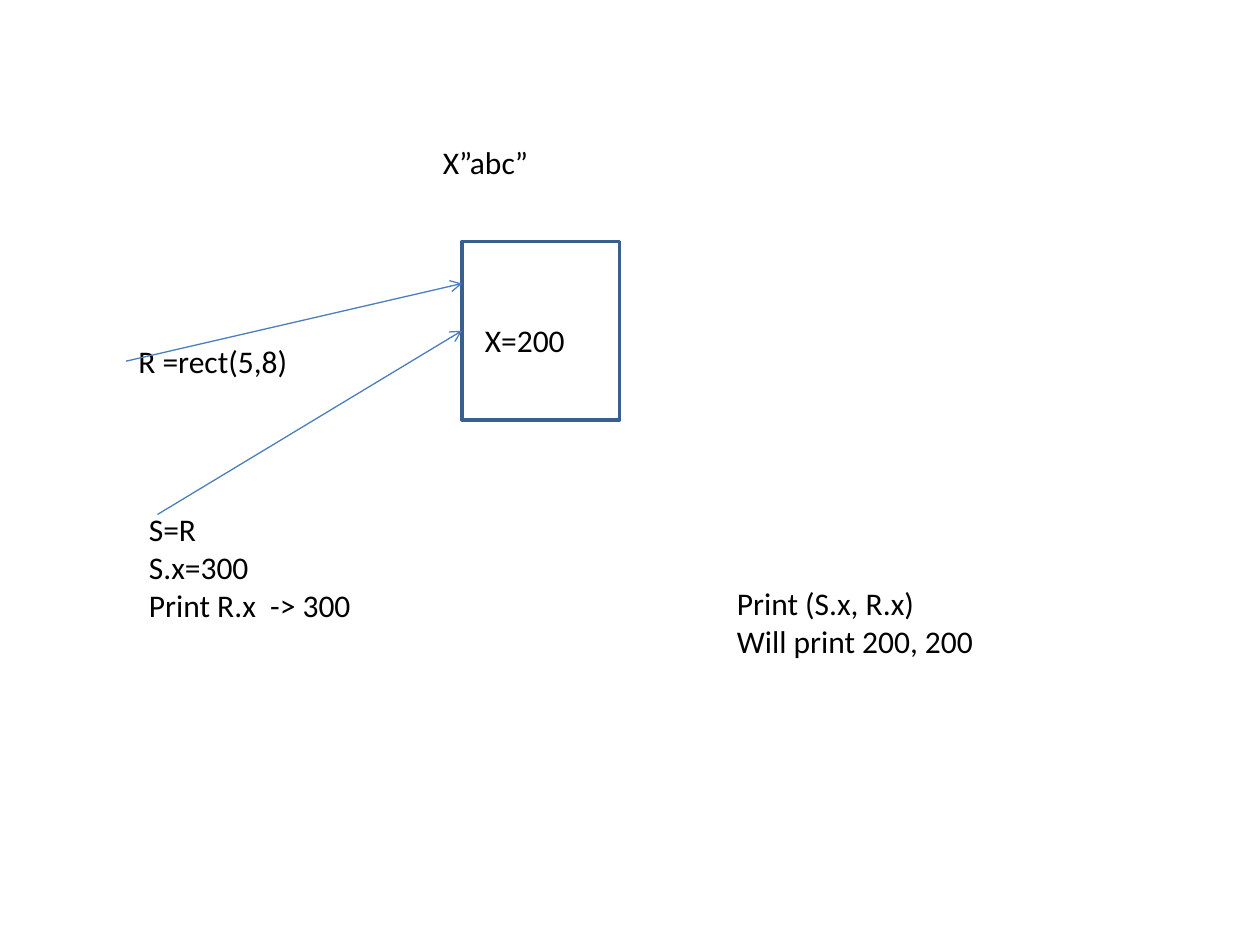
from lxml import etree
from pptx import Presentation, util as u
from pptx.dml.color import RGBColor
from pptx.enum import shapes, text
from pptx.oxml.ns import qn

THEME = {
    "font": {"name": "Calibri", "size": u.Pt(18)},
    "ink": "000000",
    "edge": ("3A5F8C", 2),
    "arrow": ("4B7EBC", 0.75),
}
SIZE = (10, 7.5)
COLS, ROWS = 120, 90
RECT = (44, 23, 15, 17)
LABELS = {
    "ref": ((12, 32, 25, 4.8), ["R =rect(5,8)"]),
    "name": ((41, 13, 40, 4.8), ["X”abc”"]),
    "alias": ((13, 48, 35, 12.1), ["S=R", "S.x=300", "Print R.x  -> 300"]),
    "value": ((45, 30, 13, 5), ["X=200"]),
    "print": ((69, 55, 27, 8.5), ["Print (S.x, R.x)", "Will print 200, 200"]),
}
ARROWS = [
    ((12, 34.4), (44, 27), "ref", None),
    ((15, 49), (44, 31.5), None, "rect"),
]


def grid(*cells):
    steps = (SIZE[0] / COLS, SIZE[1] / ROWS)
    return [u.Inches(cell * steps[i % 2]) for i, cell in enumerate(cells)]


def style(obj, vals):
    for key, val in vals.items():
        setattr(obj, key, val)


def stroke(line, look):
    line.color.rgb = RGBColor.from_string(look[0])
    line.width = u.Pt(look[1])


def label(slide, place, lines):
    box = slide.shapes.add_textbox(*grid(*place))
    frame = box.text_frame
    style(frame, {"word_wrap": True,
                  "auto_size": text.MSO_AUTO_SIZE.SHAPE_TO_FIT_TEXT})
    frame.text = "\n".join(lines)
    for para in frame.paragraphs:
        font = para.runs[0].font
        style(font, THEME["font"])
        font.color.rgb = RGBColor.from_string(THEME["ink"])
    return box


def arrow(slide, start, end, tail, head):
    link = slide.shapes.add_connector(
        shapes.MSO_CONNECTOR.STRAIGHT, *grid(*start, *end))
    if tail:
        link.begin_connect(tail, 1)
    if head:
        link.end_connect(head, 1)
    stroke(link.line, THEME["arrow"])
    etree.SubElement(link.line._get_or_add_ln(), qn("a:tailEnd"), type="arrow")
    etree.SubElement(link._element.spPr, qn("a:effectLst"))


def main():
    deck = Presentation()
    deck.slide_width, deck.slide_height = map(u.Inches, SIZE)
    slide = deck.slides.add_slide(deck.slide_layouts[6])

    rect = slide.shapes.add_shape(shapes.MSO_SHAPE.RECTANGLE, *grid(*RECT))
    rect.shadow.inherit = False
    rect.fill.background()
    stroke(rect.line, THEME["edge"])

    parts = {"rect": rect}
    for key, (place, lines) in LABELS.items():
        parts[key] = label(slide, place, lines)
    for start, end, tail, head in ARROWS:
        arrow(slide, start, end, parts.get(tail), parts.get(head))
    deck.save("out.pptx")


if __name__ == "__main__":
    main()
